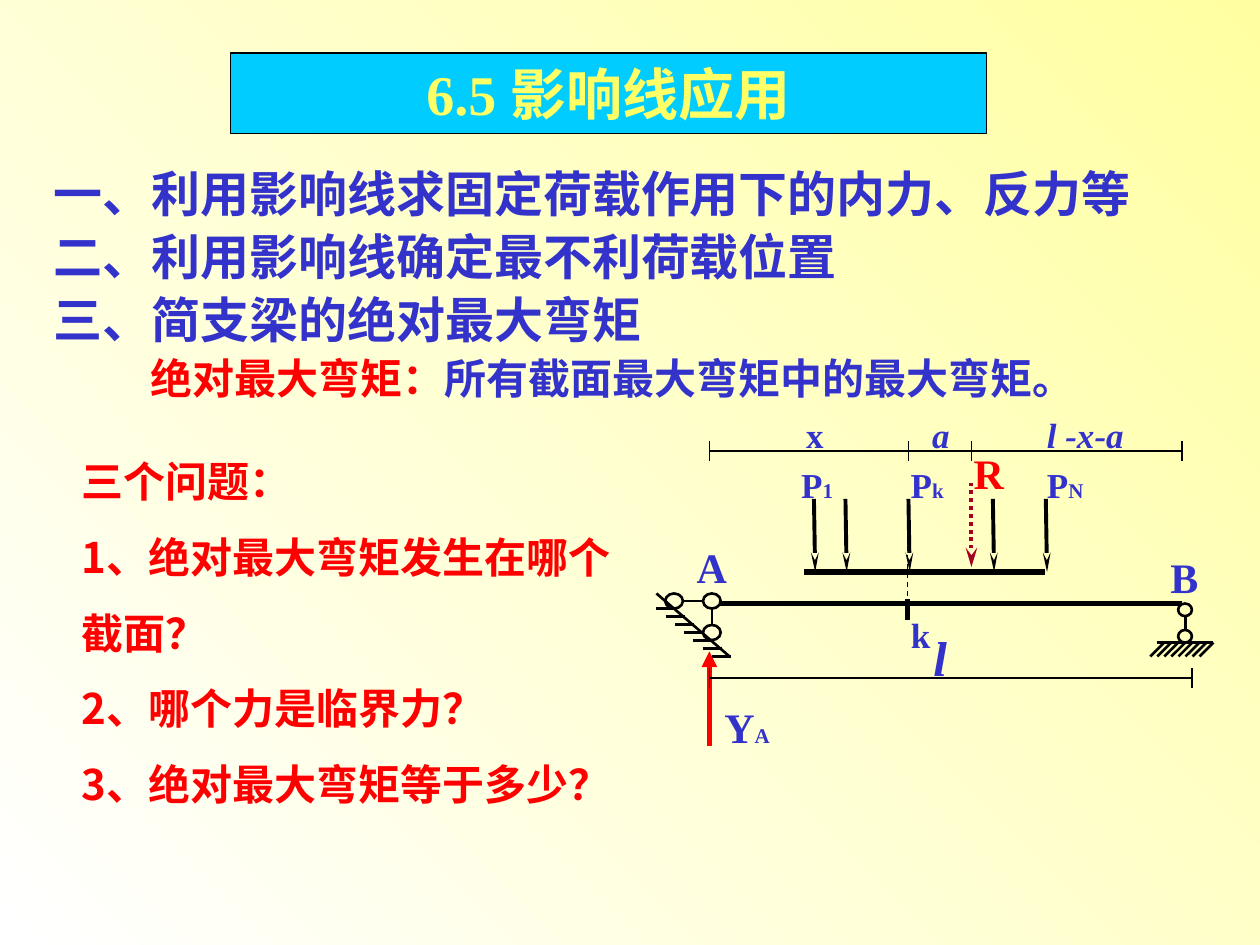
from lxml import etree
from pptx import Presentation
from pptx import util as u
from pptx.dml import color as colors
from pptx.enum import dml, shapes, text
from pptx.oxml import ns

BLUE, RED, BLACK = "3333CC", "FF0000", "000000"
LATIN, CHINESE = "Times New Roman", "Noto Sans CJK SC"


def rgb(value):
    return colors.RGBColor.from_string(value)


def add_run(paragraph, content, size=20, color=BLUE, italic=False, font=LATIN):
    run = paragraph.add_run()
    run.text = content
    run.font.size = u.Pt(size)
    run.font.bold = True
    run.font.italic = italic
    run.font.name = font
    run.font.color.rgb = rgb(color)
    properties = run._r.get_or_add_rPr()
    etree.SubElement(properties, ns.qn("a:ea"), typeface=CHINESE)


class SlideBuilder:
    def __init__(self, slide, color=BLACK, width=1.5):
        self.slide = slide
        self.color = color
        self.width = width

    def background(self, start, end):
        fill = self.slide.background.fill
        fill.gradient()
        fill.gradient_angle = 45
        for stop, value in zip(fill.gradient_stops, (start, end)):
            stop.color.rgb = rgb(value)
        fill.gradient_stops[0].position = 0
        fill.gradient_stops[1].position = 1

    def shape(self, kind, left, top, width, height, fill=None, line=None):
        shape = self.slide.shapes.add_shape(
            kind, *map(u.Inches, (left, top, width, height)))
        shape.shadow.inherit = False
        if fill:
            shape.fill.solid()
            shape.fill.fore_color.rgb = rgb(fill)
        else:
            shape.fill.background()
        shape.line.color.rgb = rgb(self.color)
        shape.line.width = u.Pt(line or self.width)
        return shape

    def hinge(self, left, top, width=0.14, height=0.12):
        self.shape(shapes.MSO_SHAPE.OVAL, left, top, width, height)

    def label(self, left, top, width, height, *runs, wrap=False, **style):
        """Each run is a string or a (string, own style) pair."""
        box = self.slide.shapes.add_textbox(
            *map(u.Inches, (left, top, width, height)))
        frame = box.text_frame
        frame.word_wrap = wrap
        frame.auto_size = text.MSO_AUTO_SIZE.SHAPE_TO_FIT_TEXT
        for run in runs:
            content, own = (run, {}) if isinstance(run, str) else run
            add_run(frame.paragraphs[0], content, **{**style, **own})
        return frame

    def line(self, x1, y1, x2, y2, width=None, color=None, dash=None,
             arrow=None, arrow_width="med", arrow_length="med"):
        connector = self.slide.shapes.add_connector(
            shapes.MSO_CONNECTOR.STRAIGHT, *map(u.Inches, (x1, y1, x2, y2)))
        connector.line.width = u.Pt(width or self.width)
        connector.line.color.rgb = rgb(color or self.color)
        if dash:
            connector.line.dash_style = dash
        if arrow:
            etree.SubElement(connector.line._get_or_add_ln(),
                             ns.qn("a:tailEnd"), type=arrow,
                             w=arrow_width, len=arrow_length)
        etree.SubElement(connector._element.spPr, ns.qn("a:effectLst"))

    def dimension(self, y, ticks):
        self.line(ticks[0], y, ticks[-1], y, 0.75)
        for x in ticks:
            self.line(x, y - 0.08, x, y + 0.08, 0.75)


def add_headings(builder):
    title = builder.shape(shapes.MSO_SHAPE.RECTANGLE, 1.83, 0.42, 6, 0.64,
                          fill="00CCFF", line=0.75)
    paragraph = title.text_frame.paragraphs[0]
    paragraph.alignment = text.PP_ALIGN.CENTER
    add_run(paragraph, "6.5 影响线应用", size=32, color="FFFF66")

    headings = ("一、利用影响线求固定荷载作用下的内力、反力等",
                "二、利用影响线确定最不利荷载位置",
                "三、简支梁的绝对最大弯矩")
    for index, heading in enumerate(headings):
        builder.label(0.33, 1.25 + 0.5 * index, 9.17, 0.57, heading,
                      wrap=True, size=28)
    builder.label(1.1, 2.75, 7.53, 0.5, ("绝对最大弯矩：", {"color": RED}),
                  "所有截面最大弯矩中的最大弯矩。", size=24)


def add_questions(builder):
    questions = ("三个问题：", "1、绝对最大弯矩发生在哪个截面？",
                 "2、哪个力是临界力？", "3、绝对最大弯矩等于多少？")
    frame = builder.label(0.55, 3.37, 4.45, 3.5, wrap=True)
    for index, question in enumerate(questions):
        paragraph = frame.add_paragraph() if index else frame.paragraphs[0]
        paragraph.line_spacing = 1.5
        # Keep closing punctuation inside the box
        paragraph._p.get_or_add_pPr().set("hangingPunct", "0")
        add_run(paragraph, question, size=24, color=RED, font=CHINESE)


def add_loads(builder):
    # Resultant
    builder.line(7.71, 3.83, 7.71, 4.5, 2.25, "A50021",
                 dml.MSO_LINE.ROUND_DOT, "stealth", arrow_length="lg")
    builder.label(7.63, 3.5, 0.44, 0.5, "R", size=24, color=RED)

    # Moving load group
    builder.line(6.38, 4.54, 8.29, 4.54, 3)
    for x in (6.46, 6.71, 7.21, 7.88, 8.3):
        builder.line(x, 3.96, x + 0.01, 4.54, 2.25, arrow="stealth",
                     arrow_width="sm", arrow_length="lg")
    for x, width, index in ((6.26, 0.46, "1"), (7.13, 0.47, "k"),
                            (8.21, 0.51, "N")):
        builder.label(x, 3.63, width, 0.44, "P", (index, {"size": 12}))


def add_beam(builder):
    # Beam and section k
    builder.line(5.71, 4.79, 9.38, 4.79, 3)
    builder.line(7.2, 4.75, 7.2, 4.92, 3)
    builder.line(7.2, 4.33, 7.2, 4.92, 0.75, dash=dml.MSO_LINE.DASH)
    builder.label(7.13, 4.82, 0.35, 0.44, "k")
    builder.label(5.43, 4.25, 0.44, 0.5, "A", size=24)
    builder.label(9.19, 4.33, 0.42, 0.5, "B", size=24)

    # Pinned support A
    for left, top in ((5.28, 4.71), (5.58, 4.71), (5.58, 4.96)):
        builder.hinge(left, top)
    builder.line(5.43, 4.77, 5.58, 4.77)
    builder.line(5.65, 4.83, 5.65, 4.96)
    builder.line(5.21, 4.71, 5.79, 5.21)
    for step in range(7):
        x, y = 5.21 + 0.44 * step / 6, 4.83 + 0.38 * step / 6
        builder.line(x, y, x + 0.15, y)

    # Roller support B
    for top in (4.79, 5):
        builder.hinge(9.35, top, 0.11, 0.1)
    builder.line(9.41, 4.9, 9.41, 5)
    builder.line(9.18, 5.1, 9.63, 5.1)
    for step in range(8):
        x = 9.13 + 0.39 * step / 7
        builder.line(x, 5.21, x + 0.11, 5.1)

    # Reaction at A
    builder.line(5.63, 5.92, 5.63, 5.17, 3, RED, arrow="triangle")
    builder.label(5.65, 5.52, 0.56, 0.5, "Y", ("A", {"size": 12}), size=24)


def add_dimensions(builder):
    builder.dimension(3.58, (5.63, 7.21, 7.71, 9.38))
    builder.label(6.3, 3.23, 0.34, 0.44, "x")
    builder.label(7.3, 3.23, 0.34, 0.44, "a", italic=True)
    builder.label(8.21, 3.23, 0.81, 0.44, "l -x-a", italic=True)
    builder.dimension(5.38, (5.63, 9.46))
    builder.label(7.31, 4.93, 0.31, 0.57, "l", size=28, italic=True)


def main():
    presentation = Presentation()
    presentation.slide_width = u.Inches(10)
    presentation.slide_height = u.Inches(7.5)
    slide = presentation.slides.add_slide(presentation.slide_layouts[6])
    builder = SlideBuilder(slide)
    builder.background("FFFFFF", "FFFFA1")
    for add_part in (add_headings, add_loads, add_beam, add_dimensions,
                     add_questions):
        add_part(builder)
    presentation.save("out.pptx")


if __name__ == "__main__":
    main()
